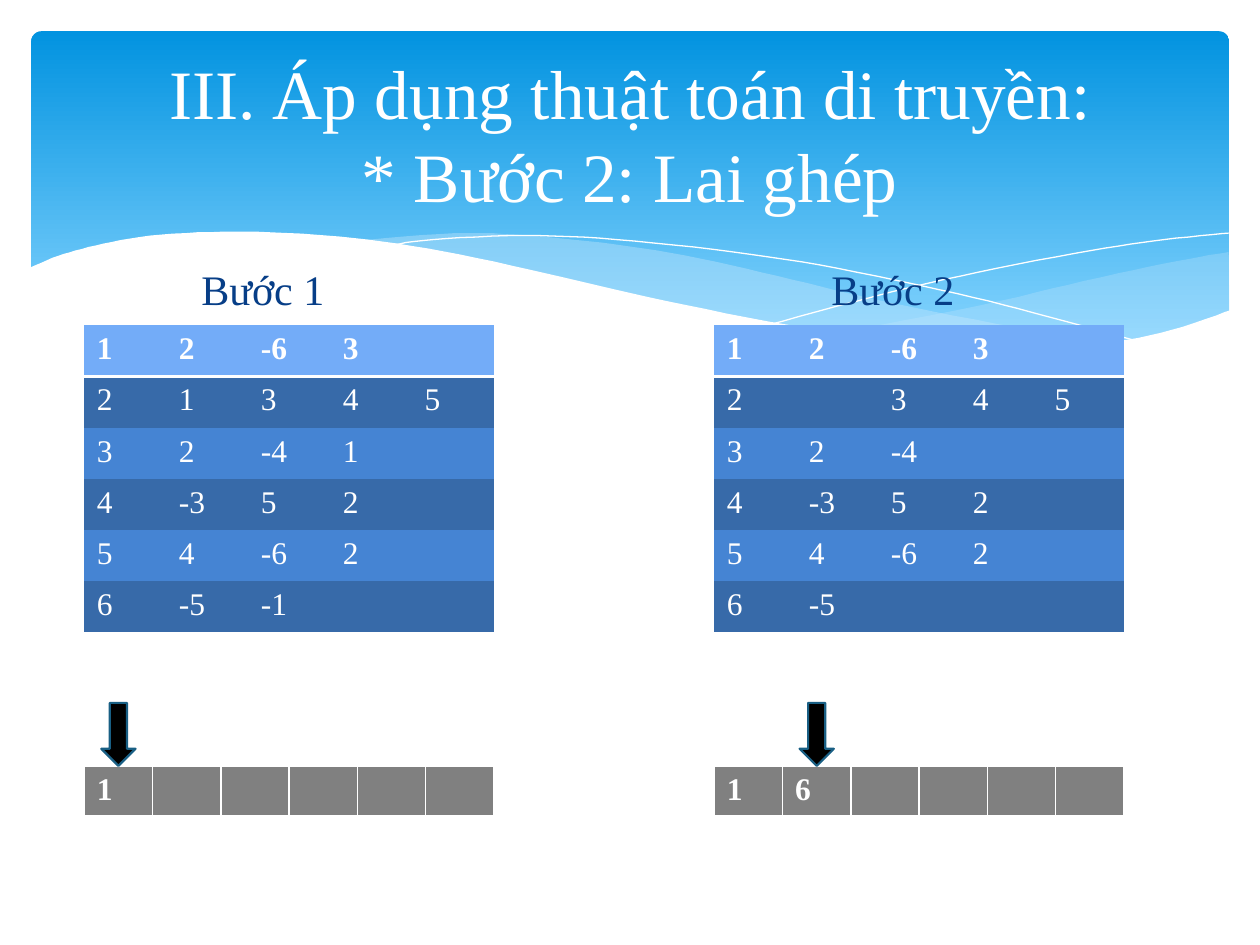
from dataclasses import dataclass

from lxml.etree import SubElement
from pptx import Presentation
from pptx.dml.color import RGBColor
from pptx.enum.shapes import MSO_SHAPE
from pptx.enum.text import MSO_ANCHOR, PP_ALIGN
from pptx.oxml.ns import qn
from pptx.util import Cm, Pt

FONT = "Times New Roman"
WHITE = "FFFFFF"
HEADER, DARK, LIGHT, GREY = "73ACF8", "376AA9", "4584D3", "808080"
NO_STYLE = "{2D5ABB26-0587-4C30-8999-92F81FD0307C}"
TABLE_WIDTH, ROW_HEIGHT = 8.26, 1.03
MATRIX_TOP, ROUTE_TOP = 6.56, 15.44
ARROW_WIDTH, ARROW_HEIGHT = 0.69, 1.27

Point = tuple[float, float]


@dataclass
class Wave:
    curves: list[list[Point]]
    fill: str | None = None
    opacity: int = 100
    corners: tuple[Point, ...] = ()


@dataclass
class Panel:
    left: float
    label: str
    matrix: list[list[str]]
    route: list[str]


WAVES = [
    Wave([[(24.77, 5.08), (23.75, 5.26), (21.87, 5.66), (19.79, 6.15), (16.79, 6.73)],
          [(16.79, 6.73), (18.26, 6.91), (19.84, 7.04), (21.21, 7.04), (22.58, 6.91),
           (23.75, 6.65), (24.79, 6.27)]], "C6E7FC", 29),
    Wave([[(22.68, 6.93), (20.5, 6.6), (17.93, 6.1), (15.98, 5.64), (14.1, 5.21),
           (12.42, 4.93), (10.67, 4.75), (9.17, 4.7), (7.26, 4.85)],
          [(7.26, 4.85), (9.19, 5.16), (11.4, 5.64), (14.38, 6.3), (16.51, 6.71),
           (18.34, 6.96), (20.5, 7.06), (22.68, 6.93)]], "C6E7FC", 40),
    Wave([[(7.85, 4.95), (8.74, 4.83), (10.57, 4.75), (12.42, 4.83), (14.78, 5.08),
           (16.89, 5.41), (19.3, 5.92), (21.11, 6.38), (23.04, 6.91)]]),
    Wave([[(15.57, 6.53), (17.65, 5.97), (19.71, 5.49), (22, 5.05), (23.47, 4.83),
           (24.77, 4.7)]]),
    Wave([[(24.82, 6.25), (23.62, 6.65), (22.23, 6.93), (20.55, 7.04), (18.44, 6.91),
           (15.9, 6.55), (13.44, 6.07), (11.35, 5.59), (9.27, 5.13), (7.42, 4.83),
           (5.84, 4.7), (4.5, 4.67), (3.02, 4.75), (1.93, 4.95), (1.17, 5.16),
           (0.58, 5.41)]], WHITE, corners=((0.58, 8.36), (24.82, 8.36))),
]

PANELS = [
    Panel(1.7, "Bước 1",
          [["1", "2", "-6", "3", ""], ["2", "1", "3", "4", "5"], ["3", "2", "-4", "1", ""],
           ["4", "-3", "5", "2", ""], ["5", "4", "-6", "2", ""], ["6", "-5", "-1", "", ""]],
          ["1"]),
    Panel(14.4, "Bước 2",
          [["1", "2", "-6", "3", ""], ["2", "", "3", "4", "5"], ["3", "2", "-4", "", ""],
           ["4", "-3", "5", "2", ""], ["5", "4", "-6", "2", ""], ["6", "-5", "", "", ""]],
          ["1", "6"]),
]


def color(value: str) -> RGBColor:
    return RGBColor.from_string(value)


def smooth(points: list[Point], steps: int = 6) -> list[Point]:
    """Sample a Catmull-Rom curve through the points."""
    padded = [points[0], *points, points[-1]]
    result = [points[0]]
    for a, b, c, d in zip(padded, padded[1:], padded[2:], padded[3:]):
        for step in range(1, steps + 1):
            t = step / steps
            result.append(tuple(
                (2 * q + (r - p) * t + (2 * p - 5 * q + 4 * r - s) * t ** 2
                 + (3 * q - p - 3 * r + s) * t ** 3) / 2
                for p, q, r, s in zip(a, b, c, d)))
    return result


def add_wave(slide, wave: Wave) -> None:
    outline = [point for curve in wave.curves for point in smooth(curve)]
    outline.extend(wave.corners)
    hundredths = [(x * 100, y * 100) for x, y in outline]
    builder = slide.shapes.build_freeform(*hundredths[0], scale=Cm(0.01))
    builder.add_line_segments(hundredths[1:], close=wave.fill is not None)
    shape = builder.convert_to_shape()
    shape.shadow.inherit = False
    if wave.fill is None:
        shape.fill.background()
        shape.line.color.rgb = color(WHITE)
        shape.line.width = Cm(0)
        return
    shape.line.fill.background()
    shape.fill.solid()
    shape.fill.fore_color.rgb = color(wave.fill)
    if wave.opacity < 100:
        rgb = shape.fill._xPr.find(qn("a:solidFill"))[0]
        SubElement(rgb, qn("a:alpha"), val=str(wave.opacity * 1000))


def add_banner(slide) -> None:
    banner = slide.shapes.add_shape(
        MSO_SHAPE.ROUNDED_RECTANGLE, Cm(0.63), Cm(0.63), Cm(24.15), Cm(6.86))
    banner.adjustments[0] = 0.03
    banner.shadow.inherit = False
    banner.line.fill.background()
    banner.fill.gradient()
    banner.fill.gradient_angle = 270
    stops = banner.fill.gradient_stops
    for stop, position, value in zip(stops, (0, 0.9), ("0293E0", "83D3FE")):
        stop.position = position
        stop.color.rgb = color(value)


def add_run(para, text: str, size: float, value: str, bold: bool = False) -> None:
    span = para.add_run()
    span.text = text
    span.font.name = FONT
    span.font.size = Pt(size)
    span.font.bold = bold
    span.font.color.rgb = color(value)


def add_text(slide, at: tuple[float, ...], lines: list[str], size: float, value: str,
             align: PP_ALIGN, anchor: MSO_ANCHOR) -> None:
    box = slide.shapes.add_textbox(*map(Cm, at))
    frame = box.text_frame
    frame.word_wrap = True
    frame.vertical_anchor = anchor
    para = frame.paragraphs[0]
    para.alignment = align
    for index, line in enumerate(lines):
        if index:
            para.add_line_break()
        add_run(para, line, size, value)


def set_border(cell, side: str, points: float) -> None:
    border = SubElement(cell._tc.get_or_add_tcPr(), qn(f"a:ln{side}"), w=str(Pt(points)))
    fill = SubElement(border, qn("a:solidFill"))
    SubElement(fill, qn("a:srgbClr"), val=WHITE)


def add_grid(slide, left: float, top: float, rows: list[list[str]], fills: list[str],
             borders: dict[str, float]) -> None:
    """Draw a table whose first row is bold and carries the borders."""
    columns = len(rows[0])
    table = slide.shapes.add_table(
        len(rows), columns, Cm(left), Cm(top),
        Cm(TABLE_WIDTH), Cm(ROW_HEIGHT * len(rows))).table
    table.first_row = table.horz_banding = False
    table._tbl.tblPr.find(qn("a:tableStyleId")).text = NO_STYLE
    for column in table.columns:
        column.width = Cm(TABLE_WIDTH / columns)
    for index, (row, fill) in enumerate(zip(rows, fills)):
        table.rows[index].height = Cm(ROW_HEIGHT)
        for cell, text in zip(table.rows[index].cells, row):
            if index == 0:
                for side, points in borders.items():
                    set_border(cell, side, points)
            cell.fill.solid()
            cell.fill.fore_color.rgb = color(fill)
            if text:
                add_run(cell.text_frame.paragraphs[0], text, 18, WHITE, index == 0)


def add_arrow(slide, center: float) -> None:
    arrow = slide.shapes.add_shape(
        MSO_SHAPE.DOWN_ARROW, Cm(center - ARROW_WIDTH / 2), Cm(ROUTE_TOP - ARROW_HEIGHT),
        Cm(ARROW_WIDTH), Cm(ARROW_HEIGHT))
    arrow.shadow.inherit = False
    arrow.fill.solid()
    arrow.fill.fore_color.rgb = color("000000")
    arrow.line.color.rgb = color("195F84")
    arrow.line.width = Pt(1.25)


def add_panel(slide, panel: Panel) -> None:
    """Draw the label, the matrix, and the route with an arrow at its newest city."""
    cities = len(panel.matrix)
    add_text(slide, (panel.left + 2.11, 5.18, 4, 1.2), [panel.label], 24, "073E87",
             PP_ALIGN.LEFT, MSO_ANCHOR.TOP)
    add_grid(slide, panel.left, MATRIX_TOP, panel.matrix,
             [HEADER, DARK, LIGHT, DARK, LIGHT, DARK], {"B": 2})
    route = panel.route + [""] * (cities - len(panel.route))
    add_grid(slide, panel.left, ROUTE_TOP, [route], [GREY], {"L": 1, "R": 1, "T": 1, "B": 3})
    add_arrow(slide, panel.left + (len(panel.route) - 0.5) * TABLE_WIDTH / cities)


def main() -> None:
    deck = Presentation()
    deck.slide_width, deck.slide_height = Cm(25.4), Cm(19.05)
    page = deck.slides.add_slide(deck.slide_layouts[6])
    add_banner(page)
    for wave in WAVES:
        add_wave(page, wave)
    add_text(page, (1.27, 0.94, 22.86, 3.48),
             ["III. Áp dụng thuật toán di truyền:", "* Bước 2: Lai ghép"],
             39.6, WHITE, PP_ALIGN.CENTER, MSO_ANCHOR.MIDDLE)
    for panel in PANELS:
        add_panel(page, panel)
    deck.save("out.pptx")


if __name__ == "__main__":
    main()
